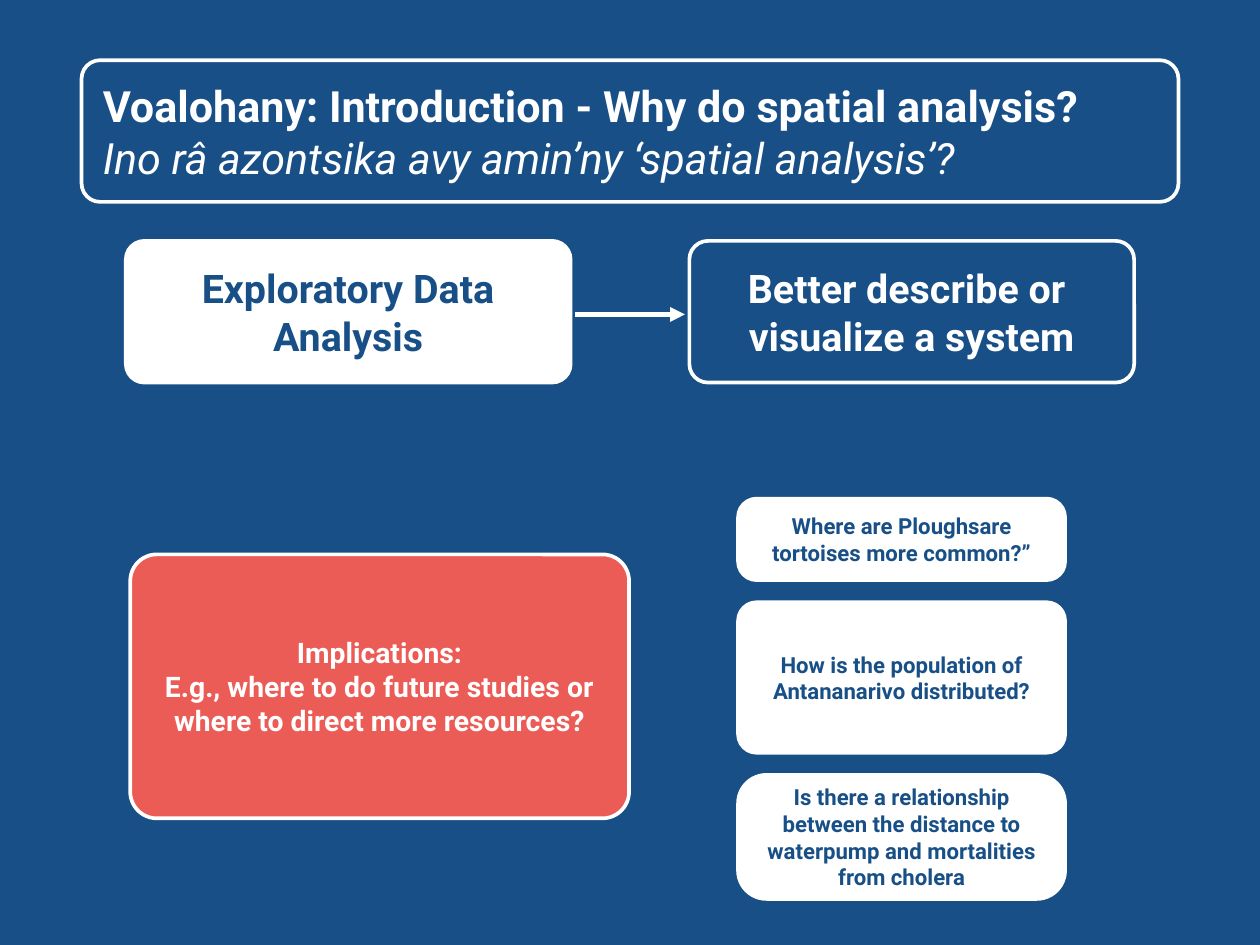
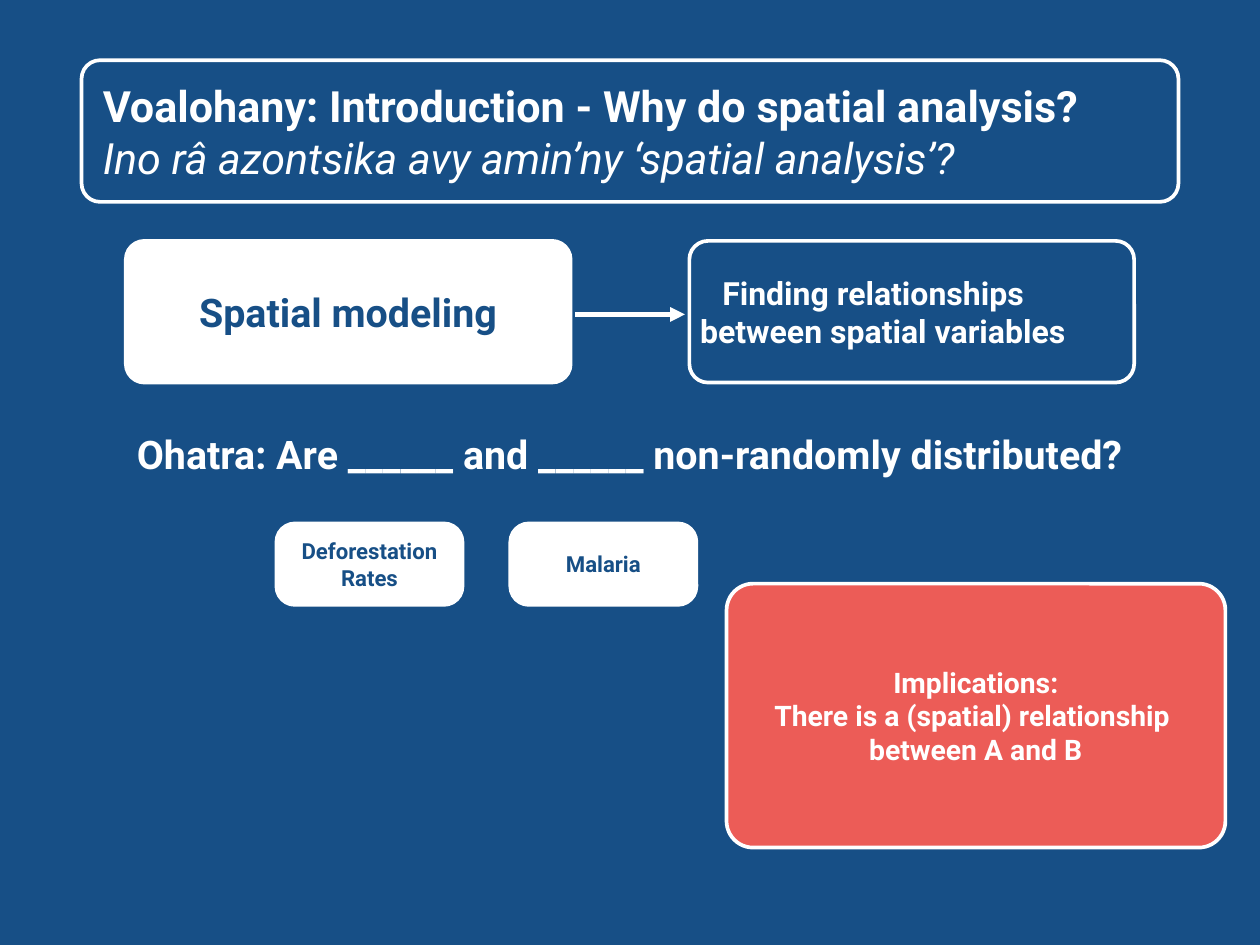
import pptx
import pptx.util
import pptx.dml.color
import pptx.enum.shapes
import pptx.enum.text
import pptx.oxml

Inches = pptx.util.Inches
RGBColor = pptx.dml.color.RGBColor
ALIGN = pptx.enum.text.PP_ALIGN

BLUE = RGBColor(0x17, 0x4F, 0x86)
WHITE = RGBColor(0xFF, 0xFF, 0xFF)
CORAL = RGBColor(0xEC, 0x5C, 0x57)
FONT = "Roboto"
RADIUS = 0.21

HEADING = "Voalohany: Introduction - Why do spatial analysis?"
SUBHEADING = "Ino râ azontsika avy amin’ny ‘spatial analysis’?"

EXPLORATORY = {
    "topic": ["Exploratory Data Analysis"],
    "purpose": ["Better describe or ", "visualize a system"],
    "purpose_format": {"size": 32},
    "implications": ["Implications:",
                     "E.g., where to do future studies or where to direct more resources?"],
    "implications_at": (1.47, 6.26),
}
QUESTIONS = [
    ("Where are Ploughsare tortoises more common?”", 0.92, RADIUS),
    ("How is the population of Antananarivo distributed?", 1.7, RADIUS),
    ("Is there a relationship between the distance to waterpump and mortalities from cholera",
     1.4, 0.32),
]
QUESTION_LEFT, QUESTION_TOP, QUESTION_WIDTH, QUESTION_GAP = 8.33, 5.63, 3.69, 0.25

MODELING = {
    "topic": ["Spatial modeling"],
    "purpose": ["Finding relationships between spatial variables"],
    "purpose_format": {"size": 26, "align": ALIGN.LEFT, "indent": 0.25},
    "implications": ["Implications:", "There is a (spatial) relationship ", "between A and B"],
    "implications_at": (8.2, 6.59),
}
EXAMPLE = "Ohatra: Are ______ and ______ non-randomly distributed?"
VARIABLES = [["Deforestation", "Rates"], ["Malaria"]]
VARIABLE_LEFT, VARIABLE_TOP, VARIABLE_WIDTH, VARIABLE_STEP = 3.12, 5.91, 2.1, 2.64


def write(shape, lines, size=32, color=WHITE, align=ALIGN.CENTER, indent=0, italic_lines=()):
    frame = shape.text_frame
    frame.word_wrap = True
    frame.vertical_anchor = pptx.enum.text.MSO_ANCHOR.MIDDLE
    frame.margin_left = frame.margin_right = Inches(0.06)
    frame.margin_top = frame.margin_bottom = Inches(0.06)
    for number, line in enumerate(lines):
        paragraph = frame.add_paragraph() if number else frame.paragraphs[0]
        paragraph.alignment = align
        if indent:
            properties = paragraph._p.get_or_add_pPr()
            properties.set("marL", "0")
            properties.set("indent", str(Inches(indent)))
        run = paragraph.add_run()
        run.text = line
        run.font.name = FONT
        run.font.size = pptx.util.Pt(size)
        run.font.color.rgb = color
        run.font.italic = number in italic_lines
        run.font.bold = number not in italic_lines


def add_panel(slide, left, top, width, height, lines=(), fill=None, radius=RADIUS, **text_format):
    panel = slide.shapes.add_shape(
        pptx.enum.shapes.MSO_SHAPE.ROUNDED_RECTANGLE,
        Inches(left), Inches(top), Inches(width), Inches(height))
    panel.adjustments[0] = radius / min(width, height)
    panel.shadow.inherit = False
    if fill is None:
        panel.fill.background()
    else:
        panel.fill.solid()
        panel.fill.fore_color.rgb = fill
    panel.line.color.rgb = WHITE
    panel.line.width = pptx.util.Pt(3)
    text_format.setdefault("color", BLUE if fill == WHITE else WHITE)
    write(panel, lines, **text_format)


def add_label(slide, left, top, width, height, lines, **text_format):
    label = slide.shapes.add_textbox(Inches(left), Inches(top), Inches(width), Inches(height))
    write(label, lines, **text_format)


def add_arrow(slide, start, end, y):
    arrow = slide.shapes.add_connector(
        pptx.enum.shapes.MSO_CONNECTOR.STRAIGHT, Inches(start), Inches(y), Inches(end), Inches(y))
    arrow.line.color.rgb = WHITE
    arrow.line.width = pptx.util.Pt(4)
    namespace = 'xmlns:a="http://schemas.openxmlformats.org/drawingml/2006/main"'
    arrow.line._get_or_add_ln().append(
        pptx.oxml.parse_xml(f'<a:tailEnd {namespace} type="triangle"/>'))
    arrow._element.spPr.append(pptx.oxml.parse_xml(f"<a:effectLst {namespace}/>"))


def add_analysis_slide(prs, content):
    slide = prs.slides.add_slide(prs.slide_layouts[6])
    add_panel(slide, 0.92, 0.68, 12.38, 1.6)
    add_label(slide, 1.1, 0.84, 11.89, 1.28, [HEADING, SUBHEADING],
              size=35, align=ALIGN.LEFT, italic_lines=(1,))
    add_panel(slide, 1.42, 2.72, 5.02, 1.6, content["topic"], fill=WHITE)
    add_panel(slide, 7.78, 2.72, 5.02, 1.6, content["purpose"], **content["purpose_format"])
    add_arrow(slide, 6.49, 7.73, 3.55)
    add_panel(slide, *content["implications_at"], 5.63, 2.98, content["implications"],
              fill=CORAL, radius=0.3, size=23)
    return slide


def main():
    prs = pptx.Presentation()
    prs.slide_width, prs.slide_height = Inches(14.22), Inches(10.67)
    background = prs.slide_master.background.fill
    background.solid()
    background.fore_color.rgb = BLUE

    exploratory = add_analysis_slide(prs, EXPLORATORY)
    top = QUESTION_TOP
    for question, height, radius in QUESTIONS:
        add_panel(exploratory, QUESTION_LEFT, top, QUESTION_WIDTH, height, [question],
                  fill=WHITE, radius=radius, size=18)
        top += height + QUESTION_GAP

    modeling = add_analysis_slide(prs, MODELING)
    add_label(modeling, 0.68, 4.8, 12.87, 0.64, [EXAMPLE])
    for column, variable in enumerate(VARIABLES):
        add_panel(modeling, VARIABLE_LEFT + column * VARIABLE_STEP, VARIABLE_TOP,
                  VARIABLE_WIDTH, 0.92, variable, fill=WHITE, size=18)

    prs.save("out.pptx")


if __name__ == "__main__":
    main()
